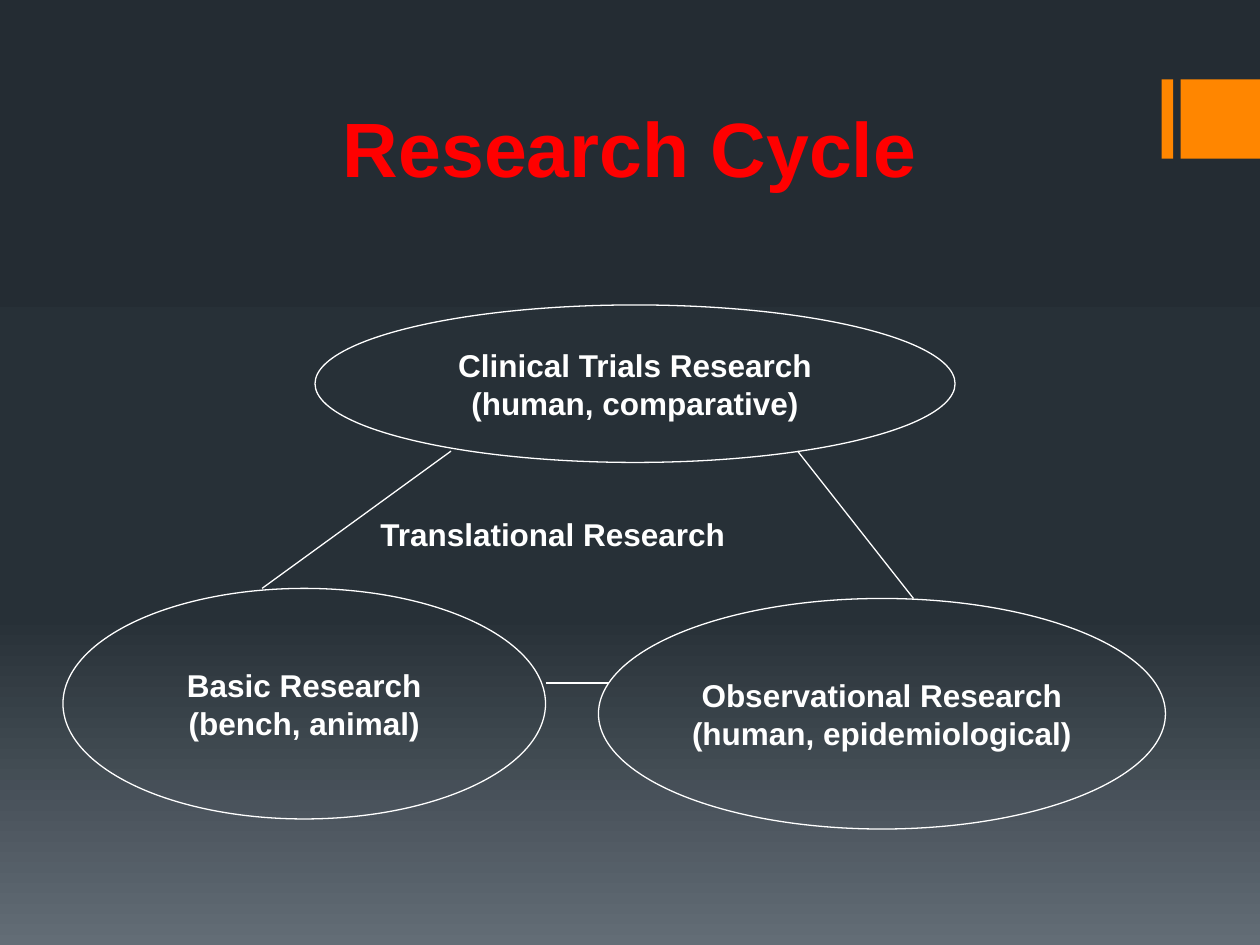
from copy import deepcopy

from lxml import etree
from pptx import Presentation
from pptx import util as u
from pptx.dml.color import RGBColor
from pptx.enum import shapes, text
from pptx.oxml import ns

BACKGROUND_STOPS = [(0, "242C33"), (0.65, "273037"), (1, "636D76")]


def color(value):
    return RGBColor.from_string(value)


def write(shape, lines, size=18, fill="FFFFFF", align=text.PP_ALIGN.CENTER,
          anchor=text.MSO_ANCHOR.MIDDLE, wrap=False):
    frame = shape.text_frame
    frame.word_wrap = wrap
    frame.vertical_anchor = anchor
    for index, line in enumerate(lines):
        paragraph = frame.add_paragraph() if index else frame.paragraphs[0]
        paragraph.alignment = align
        run = paragraph.add_run()
        run.text = line
        run.font.name = "Arial"
        run.font.size = u.Pt(size)
        run.font.bold = True
        run.font.color.rgb = color(fill)


class CycleSlide:
    accent = "FF8600"
    outline = "FFFFFF"
    line_width = u.Pt(0.75)

    def __init__(self, presentation):
        self.slide = presentation.slides.add_slide(presentation.slide_layouts[6])

    def background(self, stops):
        fill = self.slide.background.fill
        fill.gradient()
        fill.gradient_angle = 270
        stop_list = self.slide.element.find(".//" + ns.qn("a:gsLst"))
        while len(stop_list) < len(stops):
            stop_list.append(deepcopy(stop_list[-1]))
        for stop, (position, value) in zip(fill.gradient_stops, stops):
            stop.position = position
            stop.color.rgb = color(value)

    def block(self, *box):
        shape = self.slide.shapes.add_shape(
            shapes.MSO_SHAPE.RECTANGLE, *map(u.Inches, box))
        shape.shadow.inherit = False
        shape.fill.solid()
        shape.fill.fore_color.rgb = color(self.accent)
        shape.line.fill.background()

    def ellipse(self, box, lines):
        shape = self.slide.shapes.add_shape(
            shapes.MSO_SHAPE.OVAL, *map(u.Inches, box))
        shape.shadow.inherit = False
        shape.fill.background()
        shape.line.color.rgb = color(self.outline)
        shape.line.width = self.line_width
        write(shape, lines)

    def label(self, box, line, **style):
        shape = self.slide.shapes.add_textbox(*map(u.Inches, box))
        write(shape, [line], **style)

    def line(self, *ends):
        connector = self.slide.shapes.add_connector(
            shapes.MSO_CONNECTOR.STRAIGHT, *map(u.Inches, ends))
        connector.line.color.rgb = color(self.outline)
        connector.line.width = self.line_width
        properties = connector._element.spPr
        etree.SubElement(properties, ns.qn("a:effectLst"))


def main():
    presentation = Presentation()
    presentation.slide_width = u.Inches(10)
    presentation.slide_height = u.Inches(7.5)
    cycle = CycleSlide(presentation)

    # Background and corner accent
    cycle.background(BACKGROUND_STOPS)
    cycle.block(9.22, 0.63, 0.09, 0.63)
    cycle.block(9.37, 0.63, 0.63, 0.63)

    # Research types
    cycle.ellipse((2.5, 2.42, 5.08, 1.25),
                  ["Clinical Trials Research", "(human, comparative)"])
    cycle.ellipse((0.5, 4.67, 3.83, 1.83),
                  ["Basic Research", "(bench, animal)"])
    cycle.ellipse((4.75, 4.75, 4.5, 1.83),
                  ["Observational Research", "(human, epidemiological)"])

    # Title and centre label
    cycle.label((1, 0.33, 8, 1.67), "Research Cycle", size=44, fill="FF0000")
    cycle.label((2.92, 4.04, 3.92, 0.5), "Translational Research",
                align=text.PP_ALIGN.LEFT, anchor=text.MSO_ANCHOR.TOP, wrap=True)

    # Links between the research types
    cycle.line(3.58, 3.58, 2.08, 4.67)
    cycle.line(6.33, 3.58, 7.25, 4.75)
    cycle.line(4.33, 5.42, 4.83, 5.42)

    presentation.save("out.pptx")


if __name__ == "__main__":
    main()
